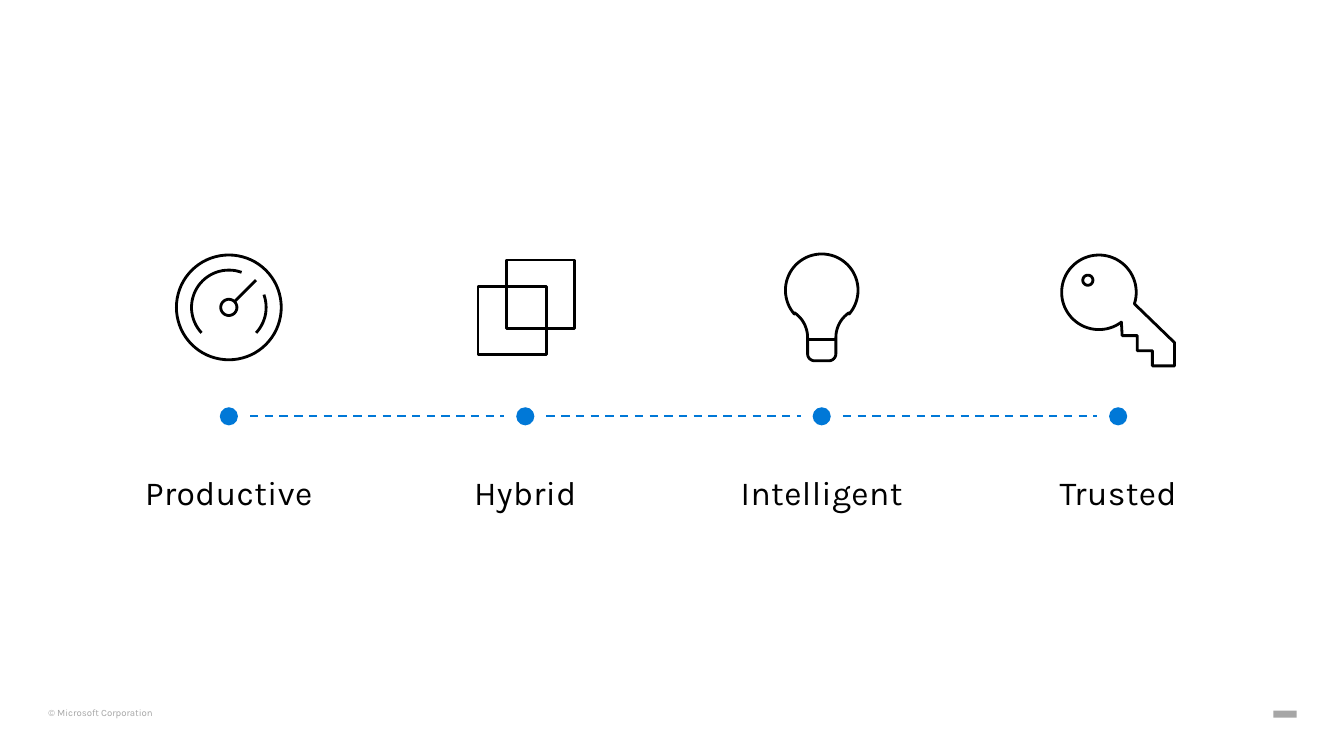
from math import cos, radians, sin

from lxml import etree
from pptx import Presentation
from pptx.dml.color import RGBColor
from pptx.enum.dml import MSO_LINE
from pptx.enum.shapes import MSO_CONNECTOR, MSO_SHAPE
from pptx.enum.text import MSO_ANCHOR, PP_ALIGN
from pptx.oxml.ns import qn
from pptx.util import Inches, Pt

DASH = MSO_LINE.DASH
STRAIGHT = MSO_CONNECTOR.STRAIGHT
OVAL, RECTANGLE = MSO_SHAPE.OVAL, MSO_SHAPE.RECTANGLE
MIDDLE, CENTER = MSO_ANCHOR.MIDDLE, PP_ALIGN.CENTER

THEME = {
    "font": "Karla",
    "ink": RGBColor(0x00, 0x00, 0x00),
    "accent": RGBColor(0x00, 0x78, 0xD7),
    "muted": RGBColor(0xA6, 0xA6, 0xA6),
    "label_size": Pt(24),
    "footer_size": Pt(6.9),
    "icon_line": Pt(2),
    "dash_line": Pt(1.5),
}

# Grid in inches: four column centres and three rows
LABELS = ["Productive", "Hybrid", "Intelligent", "Trusted"]
FIRST_COLUMN, COLUMN_STEP = 2.27, 2.94
COLUMNS = [FIRST_COLUMN + COLUMN_STEP * index for index in range(len(LABELS))]
ICON_ROW, DOT_ROW, LABEL_ROW = 3.05, 4.13, 4.91
DOT_SIZE, DASH_GAP = 0.18, 0.21
LABEL_WIDTH, LABEL_HEIGHT = 2.6, 0.46


def arc(x, y, radius, start, end):
    """Points along an arc; degrees run clockwise from the right."""
    steps = max(8, round(abs(end - start) / 5))
    angles = [radians(start + (end - start) * step / steps) for step in range(steps + 1)]
    return [(x + radius * cos(angle), y + radius * sin(angle)) for angle in angles]


def draw_icon(shapes, column, contours):
    """Outline icon from (points, closed) pairs placed around the column centre."""
    builder = None
    for points, closed in contours:
        placed = [(Inches(column + x), Inches(ICON_ROW + y)) for x, y in points]
        if builder is None:
            builder = shapes.build_freeform(*placed[0])
        else:
            builder.move_to(*placed[0])
        builder.add_line_segments(placed[1:], close=closed)
    icon = builder.convert_to_shape()
    icon.shadow.inherit = False
    icon.fill.background()
    icon.line.color.rgb = THEME["ink"]
    icon.line.width = THEME["icon_line"]


presentation = Presentation()
presentation.slide_width = Inches(13.33)
presentation.slide_height = Inches(7.5)
slide = presentation.slides.add_slide(presentation.slide_layouts[6])
shapes = slide.shapes

# Footer: copyright line and a plain block at the right
footer = shapes.add_textbox(Inches(0.48), Inches(7.03), Inches(1.05), Inches(0.1))
frame = footer.text_frame
frame.margin_left = frame.margin_right = frame.margin_top = frame.margin_bottom = 0
frame.word_wrap = False
frame.text = "© Microsoft Corporation"
paragraph = frame.paragraphs[0]
paragraph.line_spacing = 0.9
font = paragraph.runs[0].font
font.name, font.size = THEME["font"], THEME["footer_size"]
font.color.rgb = THEME["muted"]

block = shapes.add_shape(RECTANGLE, Inches(12.63), Inches(7.05), Inches(0.23), Inches(0.07))
block.shadow.inherit = False
block.fill.solid()
block.fill.fore_color.rgb = THEME["muted"]
block.line.fill.background()

# Labels and timeline dots
for column, text in zip(COLUMNS, LABELS):
    label = shapes.add_textbox(
        Inches(column - LABEL_WIDTH / 2), Inches(LABEL_ROW - LABEL_HEIGHT / 2),
        Inches(LABEL_WIDTH), Inches(LABEL_HEIGHT))
    frame = label.text_frame
    frame.word_wrap = True
    frame.vertical_anchor = MIDDLE
    frame.text = text
    paragraph = frame.paragraphs[0]
    paragraph.alignment = CENTER
    paragraph.line_spacing = 0.9
    font = paragraph.runs[0].font
    font.name, font.size = THEME["font"], THEME["label_size"]
    font.color.rgb = THEME["ink"]
    paragraph.runs[0]._r.get_or_add_rPr().set("spc", "30")

    dot = shapes.add_shape(
        OVAL, Inches(column - DOT_SIZE / 2), Inches(DOT_ROW - DOT_SIZE / 2),
        Inches(DOT_SIZE), Inches(DOT_SIZE))
    dot.shadow.inherit = False
    dot.fill.solid()
    dot.fill.fore_color.rgb = THEME["accent"]
    dot.line.fill.background()

# Dashed links between neighbouring dots
for left, right in zip(COLUMNS, COLUMNS[1:]):
    link = shapes.add_connector(
        STRAIGHT, Inches(left + DASH_GAP), Inches(DOT_ROW),
        Inches(right - DASH_GAP), Inches(DOT_ROW))
    link.line.color.rgb = THEME["accent"]
    link.line.width = THEME["dash_line"]
    link.line.dash_style = DASH
    etree.SubElement(link._element.spPr, qn("a:effectLst"))

productive, hybrid, intelligent, trusted = COLUMNS

# Gauge: rim, hub, two scale arcs and needle
draw_icon(shapes, productive, [
    (arc(0, 0, 0.52, 0, 360), True),
    (arc(0, 0, 0.08, 0, 360), True),
    (arc(0, 0, 0.37, -20, 43), False),
    (arc(0, 0, 0.37, -70, -223), False),
    ([(0.06, -0.06), (0.27, -0.27)], False),
])

# Two overlapping squares
SQUARE_SIZE = 0.68
for left, top in [(-0.19, -0.47), (-0.47, -0.21)]:
    square = shapes.add_shape(
        RECTANGLE, Inches(hybrid + left), Inches(ICON_ROW + top),
        Inches(SQUARE_SIZE), Inches(SQUARE_SIZE))
    square.shadow.inherit = False
    square.fill.background()
    square.line.color.rgb = THEME["ink"]
    square.line.width = THEME["icon_line"]

# Light bulb: globe, curved neck, rounded base and base line
bulb = (arc(0, -0.17, 0.36, 139, 401) + arc(0.44, 0.3, 0.3, 235, 180)
        + arc(0.07, 0.46, 0.07, 0, 90) + arc(-0.07, 0.46, 0.07, 90, 180)
        + arc(-0.44, 0.3, 0.3, 0, -55))
draw_icon(shapes, intelligent, [
    (bulb, True),
    ([(-0.14, 0.32), (0.14, 0.32)], False),
])

# Key: round bow, shaft with stepped teeth, and hole
TOOTH = 0.15
teeth = []
for step in (2, 1, 0):
    x, y = 0.04 + TOOTH * step, 0.28 + TOOTH * step
    teeth += [(x + TOOTH, y), (x, y)]
teeth[0] = (0.56, 0.58)
draw_icon(shapes, trusted, [
    (arc(-0.19, -0.15, 0.37, 53, 378) + [(0.56, 0.35)] + teeth, True),
    (arc(-0.3, -0.27, 0.05, 0, 360), True),
])

presentation.save("out.pptx")
